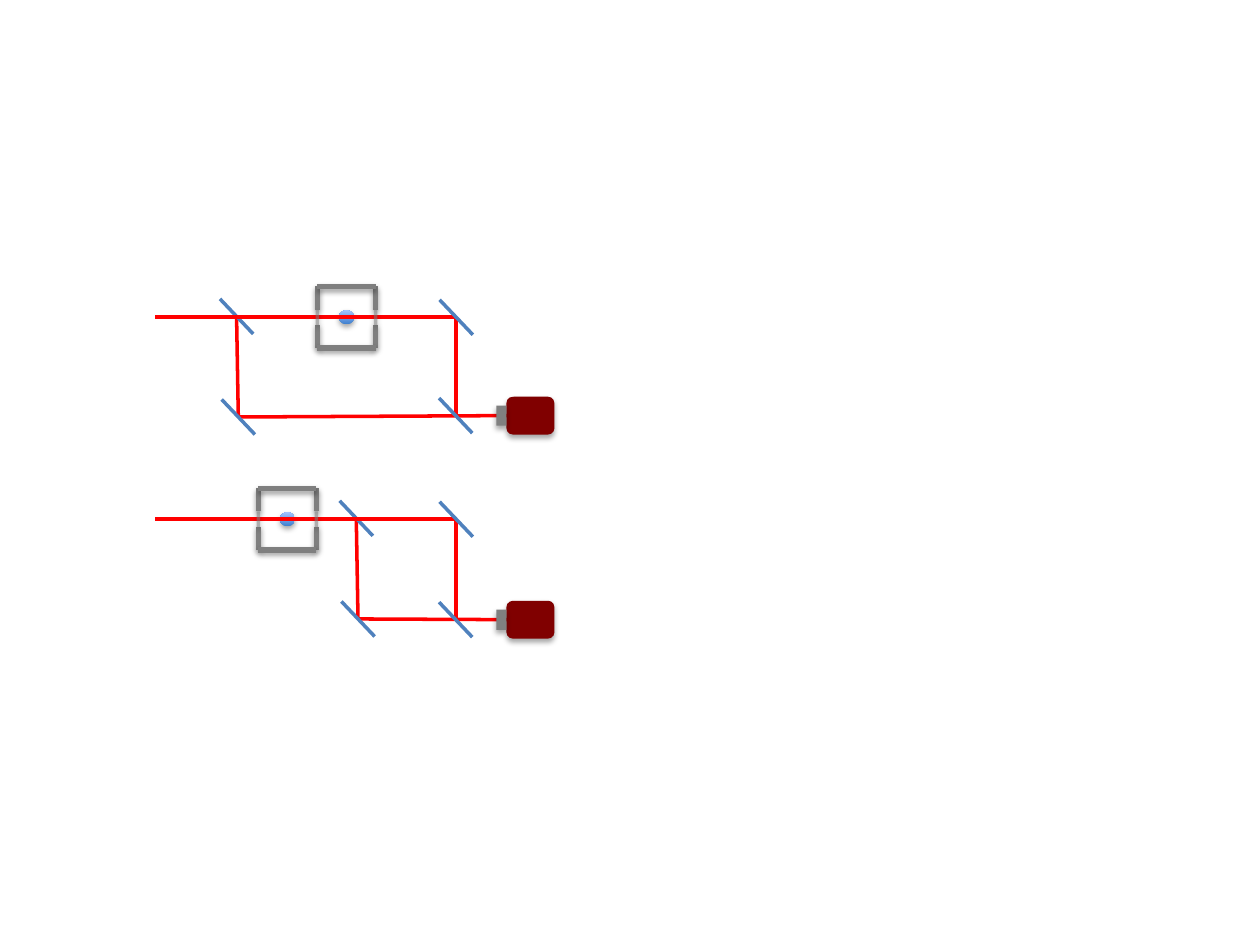
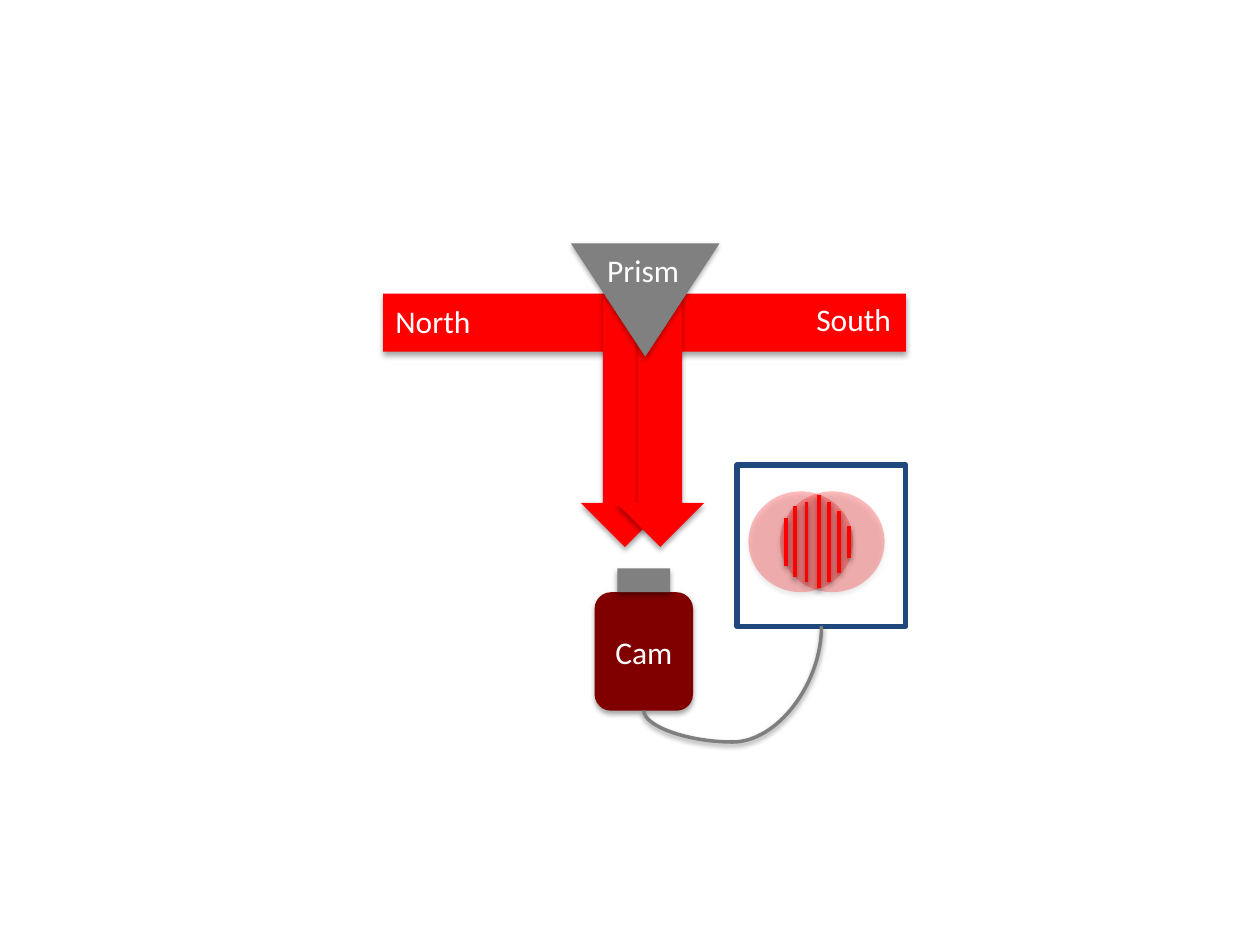
import math

import pptx
import pptx.dml.color
import pptx.enum.shapes
import pptx.enum.text
import pptx.oxml
import pptx.oxml.ns
import pptx.oxml.xmlchemy
import pptx.util

Pt = pptx.util.Pt
SHAPE = pptx.enum.shapes.MSO_SHAPE
CONNECTOR = pptx.enum.shapes.MSO_CONNECTOR
ALIGN = pptx.enum.text.PP_ALIGN
COLORS = {
    "beam": "FF0000",
    "mirror": "4F81BD",
    "cage": "7F7F7F",
    "metal": "808080",
    "camera": "800000",
    "atoms_dark": "3F80CE",
    "atoms_light": "A4C4FF",
    "monitor": "1F497D",
    "label": "FFFFFF",
    "shadow": "000000",
}


def rgb(name):
    return pptx.dml.color.RGBColor.from_string(COLORS[name])


def add_child(parent, tag, **attributes):
    child = pptx.oxml.xmlchemy.OxmlElement(tag)
    for key, value in attributes.items():
        child.set(key, str(value))
    parent.append(child)
    return child


def set_alpha(properties, percent):
    color = next(properties.iter(pptx.oxml.ns.qn("a:srgbClr")))
    add_child(color, "a:alpha", val=percent * 1000)


def set_shadow(properties, visible, percent, distance):
    effects = add_child(properties, "a:effectLst")
    if visible:
        outer = add_child(effects, "a:outerShdw", blurRad=Pt(3.1), dist=Pt(distance),
                          dir=5400000, rotWithShape=0)
        color = add_child(outer, "a:srgbClr", val=COLORS["shadow"])
        add_child(color, "a:alpha", val=percent * 1000)


def write(frame, text, size=18, color="label", font="Calibri", align=ALIGN.LEFT,
          anchor=pptx.enum.text.MSO_ANCHOR.TOP, wrap=True):
    frame.word_wrap = wrap
    frame.vertical_anchor = anchor
    paragraph = frame.paragraphs[0]
    paragraph.alignment = align
    run = paragraph.add_run()
    run.text = text
    run.font.size = Pt(size)
    run.font.name = font
    run.font.color.rgb = rgb(color)


def add_label(shapes, text, left, top, width):
    frame = shapes.add_textbox(Pt(left), Pt(top), Pt(width), Pt(29)).text_frame
    write(frame, text, wrap=False)
    frame.auto_size = pptx.enum.text.MSO_AUTO_SIZE.SHAPE_TO_FIT_TEXT


def add_solid(shapes, kind, left, top, width, height, fill=None, outline=None,
              alpha=None, rotation=0):
    solid = shapes.add_shape(kind, Pt(left), Pt(top), Pt(width), Pt(height))
    solid.rotation = rotation
    if fill:
        solid.fill.solid()
        solid.fill.fore_color.rgb = rgb(fill)
    else:
        solid.fill.background()
    if alpha:
        set_alpha(solid._element.spPr, alpha)
    if outline:
        solid.line.color.rgb = rgb(outline)
        solid.line.width = Pt(3)
    else:
        solid.line.fill.background()
    set_shadow(solid._element.spPr, fill is not None, 35, 1.8)
    return solid


def add_line(shapes, start, end, color, width=2, shadow=False, alpha=None,
             kind=CONNECTOR.STRAIGHT):
    line = shapes.add_connector(kind, *(Pt(value) for value in (*start, *end)))
    line.line.color.rgb = rgb(color)
    line.line.width = Pt(width)
    if alpha:
        set_alpha(line._element.spPr, alpha)
    set_shadow(line._element.spPr, shadow, 38, 1.6)
    return line


def add_camera(shapes, x, y, body_size, neck_size, rotation=0):
    def centred(kind, cx, cy, size, fill):
        width, height = size
        return add_solid(shapes, kind, cx - width / 2, cy - height / 2, width, height,
                         fill, rotation=rotation)

    body = centred(SHAPE.ROUNDED_RECTANGLE, x, y, body_size, "camera")
    reach = (body_size[1] + neck_size[1]) / 2
    angle = math.radians(rotation)
    centred(SHAPE.RECTANGLE, x + reach * math.sin(angle), y - reach * math.cos(angle),
            neck_size, "metal")
    return body


def add_mirror(shapes, x, y):
    add_line(shapes, (x - 9.5, y - 10), (x + 9.5, y + 10), "mirror")


def add_cage(shapes, x, y):
    half, gap = 17.6, 4.4
    sides = (x - 16.6, x + 16.6)
    for direction in (-1, 1):
        edge = y + direction * half
        for side in sides:
            add_line(shapes, (side, y + direction * gap), (side, edge), "cage", 3, True)
        add_line(shapes, (sides[0], edge), (sides[1], edge), "cage", 3, True)
    atoms = add_solid(shapes, SHAPE.OVAL, x - 4.3, y - 4, 8.6, 8, "atoms_dark")
    atoms.fill.gradient()
    atoms.fill.gradient_angle = 90
    for stop, color in zip(atoms.fill.gradient_stops, ("atoms_dark", "atoms_light")):
        stop.color.rgb = rgb(color)


def add_cage_windows(shapes, x, y):
    for side in (x - 16.6, x + 16.6):
        add_line(shapes, (side, y - 4.4), (side, y + 4.4), "metal", alpha=53, shadow=True)


def add_interferometer(slide, left, beam_y, splitter_offset, cage_offset, exit_drop):
    shapes = slide.shapes.add_group_shape().shapes
    splitter_x = left + splitter_offset
    right_x = left + 172.1
    cage_x = left + cage_offset
    lower_left = (splitter_x + 1, beam_y + 57)
    exit_y = beam_y + exit_drop

    add_line(shapes, (splitter_x, beam_y - 0.5), lower_left, "beam")
    add_line(shapes, lower_left, (left + 201, exit_y), "beam")
    add_line(shapes, (right_x, exit_y), (right_x, beam_y), "beam")
    add_mirror(shapes, *lower_left)
    add_mirror(shapes, splitter_x, beam_y - 0.5)
    add_cage(shapes, cage_x, beam_y)
    add_line(shapes, (left, beam_y), (right_x, beam_y), "beam")
    add_cage_windows(shapes, cage_x, beam_y)
    add_camera(shapes, left + 214.5, exit_y, (21.6, 27.4), (11.5, 5.8), 270)
    add_mirror(shapes, right_x, beam_y)
    add_mirror(shapes, right_x - 0.3, exit_y)


def add_beam_combiner(shapes, left, top):
    add_solid(shapes, SHAPE.RECTANGLE, left, top + 28.8, 298.8, 33.1, "beam")
    for offset in (113, 133.2):
        add_solid(shapes, SHAPE.DOWN_ARROW, left + offset, top + 28.8, 50.4, 144.7, "beam")
    add_solid(shapes, SHAPE.ISOSCELES_TRIANGLE, left + 107.3, top, 85, 64.8, "metal",
              rotation=180)
    add_label(shapes, "North", left, top + 30.2, 57.6)
    add_label(shapes, "South", left + 240.5, top + 28.8, 57.6)
    add_label(shapes, "Prism", left + 121, top + 0.7, 56.2)


def add_cable(shapes, start, end):
    span, rise = end[0] - start[0], start[1] - end[1]
    x, y = (start[0] + end[0]) / 2, (start[1] + end[1]) / 2
    cable = add_line(shapes, (x + rise / 2, y + span / 2), (x - rise / 2, y - span / 2),
                     "cage", shadow=True, kind=CONNECTOR.CURVE)
    properties = cable._element.spPr
    properties.find(pptx.oxml.ns.qn("a:xfrm")).set("rot", "5400000")
    adjustments = next(properties.iter(pptx.oxml.ns.qn("a:avLst")))
    add_child(adjustments, "a:gd", name="adj1", fmla="val -37300")


def add_fringes(shapes, left, top):
    for offset in (6.5, 24.5):
        add_solid(shapes, SHAPE.OVAL, left + offset, top + 15.1, 59.8, 57.6, "beam", alpha=26)
    middle = top + 43.9
    fringes = ((28.1, 13.7), (33.1, 20.2), (39.6, 23), (46.8, 26.6),
               (52.6, 23), (58.3, 17.6), (64.1, 9))
    for offset, reach in fringes:
        x = left + offset
        add_line(shapes, (x, middle - reach), (x, middle + reach), "beam", shadow=True)


def add_prism_setup(slide, left, top):
    shapes = slide.shapes.add_group_shape().shapes
    add_beam_combiner(shapes, left, top)
    camera_x, camera_y = left + 149, top + 233.3
    camera = add_camera(shapes, camera_x, camera_y, (56.2, 67.7), (30.2, 13.7))
    write(camera.text_frame, "Cam", align=ALIGN.CENTER,
          anchor=pptx.enum.text.MSO_ANCHOR.MIDDLE)
    monitor_left, monitor_top = left + 202.3, top + 126.7
    add_solid(shapes, SHAPE.RECTANGLE, monitor_left, monitor_top, 96.5, 92.2,
              outline="monitor")
    add_cable(shapes, (camera_x, camera_y + 33.8), (monitor_left + 48.2, monitor_top + 92.2))
    add_fringes(shapes, monitor_left, monitor_top)


def main():
    deck = pptx.Presentation()
    deck.slide_width, deck.slide_height = Pt(720), Pt(540)
    blank = deck.slide_layouts[6]

    interferometers = deck.slides.add_slide(blank)
    add_interferometer(interferometers, 88.6, 181.3, 46.6, 109.4, 56.2)
    add_interferometer(interferometers, 88.6, 296.7, 115, 75.6, 57.4)

    add_prism_setup(deck.slides.add_slide(blank), 218.9, 139)
    deck.save("out.pptx")


if __name__ == "__main__":
    main()
